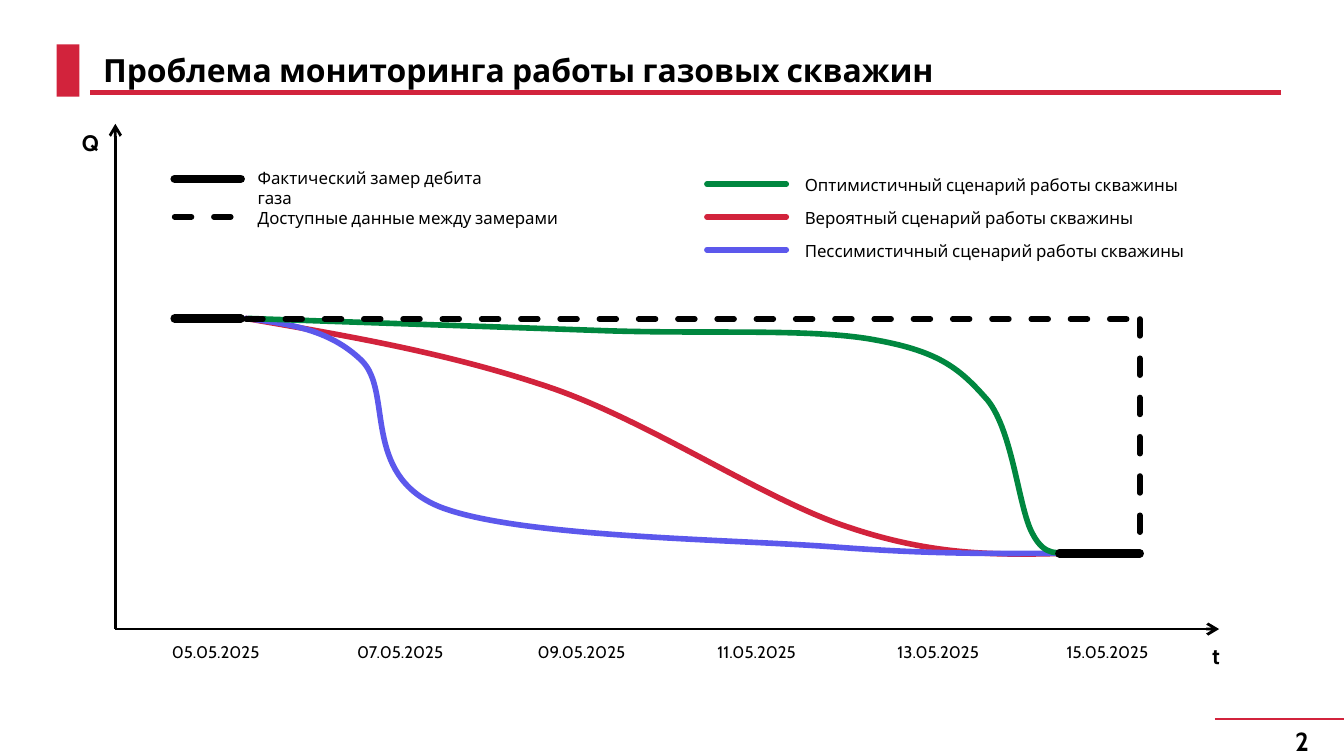
from lxml import etree
from pptx import Presentation
from pptx import util as u
from pptx.dml.color import RGBColor
from pptx.enum import dml, shapes, text
from pptx.oxml import ns

FONT = "Cabin"
COLORS = {
    "black": "000000",
    "red": "D2233C",
    "blue": "5C58EC",
    "green": "00873F",
}

# Bezier points in cm: a start, then two controls and an end per segment
SCENARIOS = {
    "red": [(4.65, 6.02),
            (6.58, 6.35), (8.51, 6.68), (10.44, 7.34),
            (12.34, 8), (14.48, 9.47), (16.08, 9.98),
            (17.7, 10.52), (18.92, 10.49), (20.14, 10.46)],
    "blue": [(4.65, 6.02),
             (5.44, 6.12), (6.22, 6.22), (6.83, 6.81),
             (7.44, 7.39), (6.81, 8.97), (8.31, 9.58),
             (9.78, 10.16), (13.79, 10.19), (15.77, 10.34),
             (17.75, 10.49), (18.95, 10.46), (20.14, 10.46)],
    "green": [(4.7, 6.02),
              (6.93, 6.1), (9.15, 6.17), (11.38, 6.25),
              (13.36, 6.32), (15.37, 6.2), (16.56, 6.43),
              (17.78, 6.65), (18.16, 6.99), (18.67, 7.57),
              (19.15, 8.18), (19.25, 9.6), (19.51, 10.08),
              (19.76, 10.57), (20.04, 10.41), (20.14, 10.46)],
}

SCENARIO_LABELS = [
    ("green", "Оптимистичный сценарий работы скважины"),
    ("red", "Вероятный сценарий работы скважины"),
    ("blue", "Пессимистичный сценарий работы скважины"),
]

DATES = [
    (3, "05.05.2025"), (6.5, "07.05.2025"), (9.91, "09.05.2025"),
    (13.31, "11.05.2025"), (16.71, "13.05.2025"), (19.91, "15.05.2025"),
]


def rgb(name):
    return RGBColor.from_string(COLORS[name])


def add_text(s, content, x, y, w, h, size=9, bold=False, align=None,
             anchor=text.MSO_ANCHOR.TOP, wrap=True):
    tf = s.shapes.add_textbox(u.Cm(x), u.Cm(y), u.Cm(w), u.Cm(h)).text_frame
    tf.word_wrap = wrap
    tf.vertical_anchor = anchor
    p = tf.paragraphs[0]
    p.alignment = align
    r = p.add_run()
    r.text = content
    r.font.name = FONT
    r.font.size = u.Pt(size)
    r.font.bold = bold
    r.font.color.rgb = rgb("black")


def style_line(sp, color, width, dash=False, arrow=False, rounded=False):
    sp.line.color.rgb = rgb(color)
    sp.line.width = u.Pt(width)
    if dash:
        sp.line.dash_style = dml.MSO_LINE.DASH
    ln = sp._element.spPr.find(ns.qn("a:ln"))
    if rounded:
        ln.set("cap", "rnd")
    if arrow:
        etree.SubElement(ln, ns.qn("a:tailEnd"), type="arrow")


def add_line(s, x1, y1, x2, y2, color="black", width=3.0, **style):
    sp = s.shapes.add_connector(shapes.MSO_CONNECTOR.STRAIGHT,
                                u.Cm(x1), u.Cm(y1), u.Cm(x2), u.Cm(y2))
    style_line(sp, color, width, **style)
    etree.SubElement(sp._element.spPr, ns.qn("a:effectLst"))


def add_curve(s, points, color):
    pts = [(u.Cm(x), u.Cm(y)) for x, y in points]
    builder = s.shapes.build_freeform(*pts[0])
    builder.add_line_segments(pts[1:], close=False)
    sp = builder.convert_to_shape()
    sp.shadow.inherit = False
    sp.fill.background()
    style_line(sp, color, 3, rounded=True)
    # Join every three straight segments into one cubic segment
    segments = list(sp._element.iter(ns.qn("a:lnTo")))
    for i in range(0, len(segments), 3):
        cubic = etree.Element(ns.qn("a:cubicBezTo"))
        segments[i].addprevious(cubic)
        for segment in segments[i:i + 3]:
            cubic.append(segment[0])
            segment.getparent().remove(segment)


def add_frame(s):
    # Heading with its red marker and rule
    add_line(s, 24.21, 1.75, 1.7, 1.75, "red", 2.25)
    marker = s.shapes.add_shape(shapes.MSO_SHAPE.RECTANGLE,
                                u.Cm(1.07), u.Cm(0.84), u.Cm(0.43), u.Cm(0.99))
    marker.shadow.inherit = False
    marker.fill.solid()
    marker.fill.fore_color.rgb = rgb("red")
    marker.line.fill.background()
    add_text(s, "Проблема мониторинга работы газовых скважин",
             1.7, 0.89, 22.5, 0.86, size=17.1, bold=True,
             anchor=text.MSO_ANCHOR.MIDDLE)
    # Page number
    add_line(s, 22.96, 13.59, 25.4, 13.59, "red", 1.5)
    add_text(s, "2", 19.53, 13.59, 5.46, 0.58, size=14, bold=True,
             align=text.PP_ALIGN.RIGHT)


def add_axes(s):
    add_line(s, 2.18, 11.89, 2.18, 2.34, width=1.5, arrow=True)
    add_line(s, 2.18, 11.89, 23.04, 11.89, width=1.5, arrow=True)
    add_text(s, "Q", 1.3, 2.31, 0.51, 0.76, size=12, bold=True)
    add_text(s, "t", 22.66, 12.01, 0.51, 0.76, size=12, bold=True)
    for x, date in DATES:
        add_text(s, date, x, 12.01, 2.16, 0.64, wrap=False)


def add_legend(s):
    # Measurements
    add_line(s, 3.3, 3.38, 4.55, 3.38, width=4.5, rounded=True)
    add_text(s, "Фактический замер дебита газа", 4.62, 3.05, 5.41, 0.64)
    add_line(s, 3.3, 4.1, 4.55, 4.1, dash=True, rounded=True)
    add_text(s, "Доступные данные между замерами", 4.62, 3.81, 6.48, 0.64)
    # Scenarios
    for i, (color, label) in enumerate(SCENARIO_LABELS):
        y = 3.48 + 0.62 * i
        add_line(s, 13.36, y, 14.86, y, color, rounded=True)
        add_text(s, label, 14.96, y - 0.3, 8.3, 0.64)


def add_plot(s):
    for color, points in SCENARIOS.items():
        add_curve(s, points, color)
    # Data held between the measurements
    add_line(s, 4.65, 6.03, 21.54, 6.03, dash=True, rounded=True)
    add_line(s, 21.54, 6.03, 21.54, 10.46, dash=True, rounded=True)
    # Actual measurements
    add_line(s, 3.3, 6.02, 4.55, 6.02, width=4.5, rounded=True)
    add_line(s, 21.54, 10.46, 20.02, 10.46, width=4.5, rounded=True)


def main():
    prs = Presentation()
    prs.slide_width, prs.slide_height = u.Cm(25.4), u.Cm(14.29)
    s = prs.slides.add_slide(prs.slide_layouts[6])
    add_frame(s)
    add_axes(s)
    add_legend(s)
    add_plot(s)
    prs.save("out.pptx")


if __name__ == "__main__":
    main()
